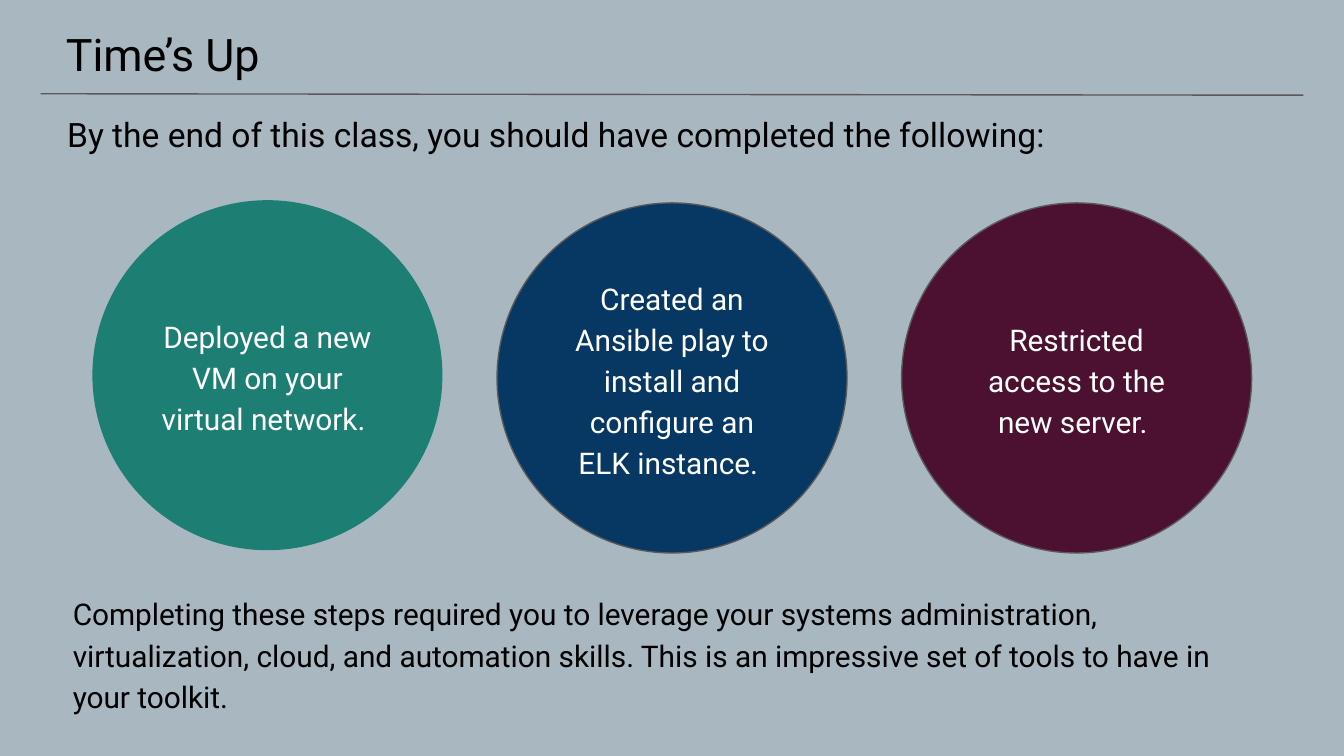
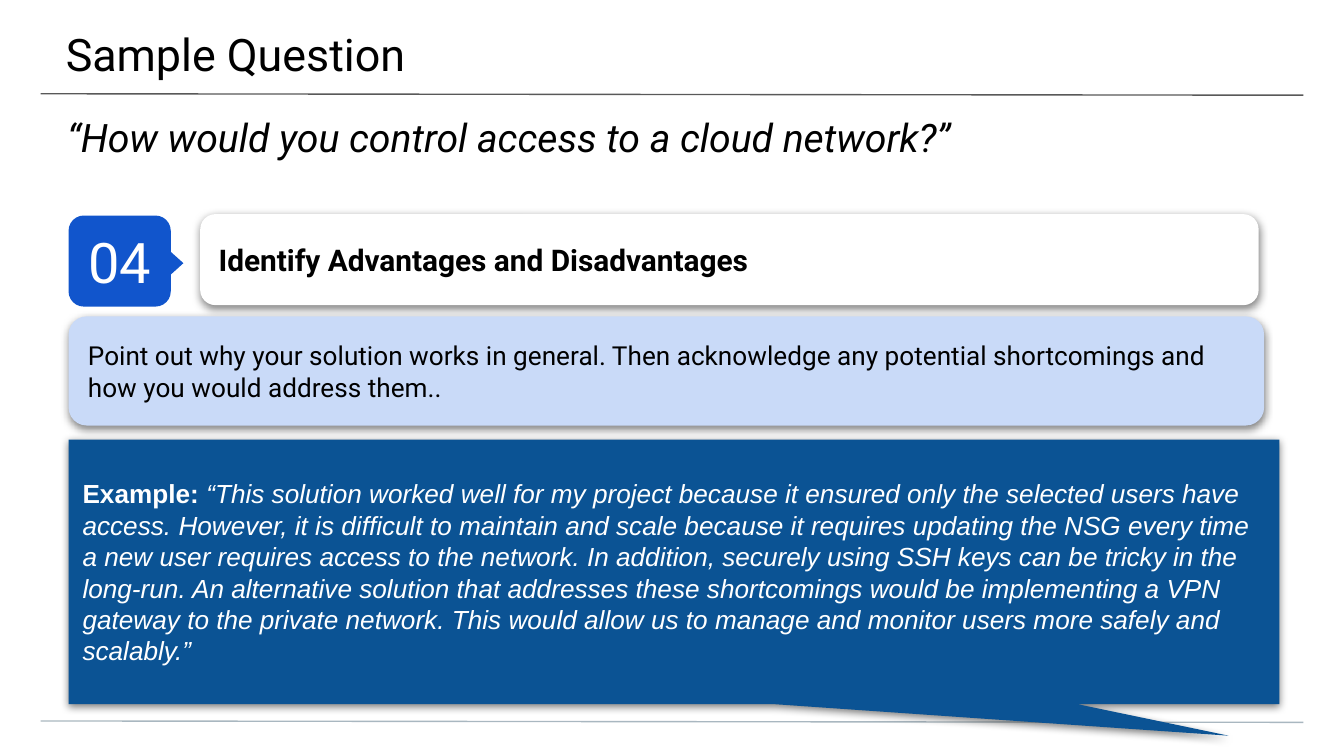
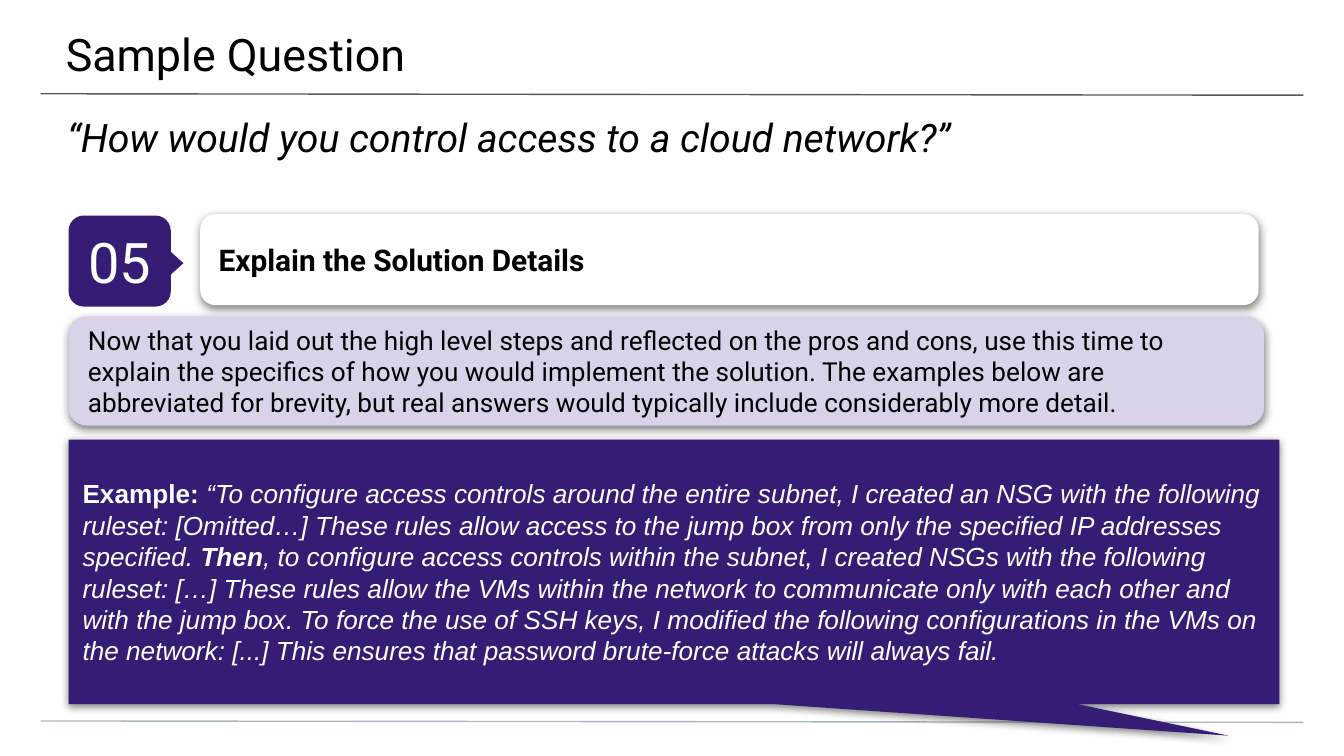
from pptx import Presentation
from pptx.dml.color import RGBColor
from pptx.enum.shapes import MSO_CONNECTOR, MSO_SHAPE
from pptx.enum.text import MSO_ANCHOR, PP_ALIGN
from pptx.oxml import parse_xml
from pptx.oxml.ns import nsdecls, qn
from pptx.util import Pt

EMU_PER_PX = 9525
WIDTH, HEIGHT = 960, 540
BLACK, WHITE, GREY, MIST = "000000", "FFFFFF", "595959", "A9B7C0"
LEFT = 49

SHADOW = (
    f'<a:outerShdw {nsdecls("a")} blurRad="57150" dist="19050" dir="5400000" '
    'algn="bl" rotWithShape="0"><a:srgbClr val="000000"><a:alpha val="50000"/>'
    '</a:srgbClr></a:outerShdw>'
)

CIRCLES = [
    ("1D7E74", None, 143, "Deployed a new VM on your virtual network. "),
    ("073763", GREY, 145,
     "Created an Ansible play to install and configure an ELK instance. "),
    ("4C1130", GREY, 145, "Restricted access to the new server. "),
]

BOLD = {"bold": True}
ITALIC = {"italic": True}

QUESTIONS = [
    {
        "number": "04", "accent": "1155CC", "tint": "C9DAF8", "callout": "0B5394",
        "heading": "Identify Advantages and Disadvantages",
        "advice": "Point out why your solution works in general. Then acknowledge any "
                  "potential shortcomings and how you would address them..",
        "example": [
            ("Example: ", BOLD),
            ("“This solution worked well for my project because it ensured only the "
             "selected users have access. However, it is difficult to maintain and scale "
             "because it requires updating the NSG every time a new user requires access "
             "to the network. In addition, securely using SSH keys can be tricky in the "
             "long-run. An alternative solution that addresses these shortcomings would "
             "be implementing a VPN gateway to the private network. This would allow us "
             "to manage and monitor users more safely and scalably.”", ITALIC),
        ],
    },
    {
        "number": "05", "accent": "351C75", "tint": "D9D2E9", "callout": "351C75",
        "heading": "Explain the Solution Details",
        "advice": "Now that you laid out the high level steps and reflected on the pros "
                  "and cons, use this time to explain the specifics of how you would "
                  "implement the solution. The examples below are abbreviated for "
                  "brevity, but real answers would typically include considerably more "
                  "detail.",
        "example": [
            ("Example: ", BOLD),
            ("“To configure access controls around the entire subnet, I created an NSG "
             "with the following ruleset: [Omitted…] These rules allow access to the jump "
             "box from only the specified IP addresses specified. ", ITALIC),
            ("Then", BOLD | ITALIC),
            (", to configure access controls within the subnet, I created NSGs with the "
             "following ruleset: […] These rules allow the VMs within the network to "
             "communicate only with each other and with the jump box. To force the use "
             "of SSH keys, I modified the following configurations in the VMs on the "
             "network: [...] This ensures that password brute-force attacks will always "
             "fail.", ITALIC),
        ],
    },
]


def px(n):
    return n * EMU_PER_PX


def rgb(value):
    return RGBColor.from_string(value)


class Deck:
    """Holds the shared style and the slide being filled."""

    font = "Roboto"

    def __init__(self):
        self.prs = Presentation()
        self.prs.slide_width, self.prs.slide_height = px(WIDTH), px(HEIGHT)
        self.s = None

    def slide(self, title, background):
        self.s = self.prs.slides.add_slide(self.prs.slide_layouts[6])
        fill = self.s.background.fill
        fill.solid()
        fill.fore_color.rgb = rgb(background)
        self.rule(67, GREY)
        self.text_box((-1, 0, 963, 56), title, 24, insets=(48, 19, 29, 10))

    def rule(self, y, color):
        """Draws the full-width rule, which drops one px to the right."""
        line = self.s.shapes.add_connector(
            MSO_CONNECTOR.STRAIGHT, px(29), px(y), px(931), px(y + 1))
        line.line.color.rgb = rgb(color)
        line.line.width = Pt(0.75)
        line._element.spPr.append(parse_xml(f'<a:effectLst {nsdecls("a")}/>'))

    def subtitle(self, text, size, height, **style):
        self.text_box((0, 71, WIDTH, height), text, size,
                      insets=(48, 10, 48, 0), **style)

    def text_box(self, box, text, size, **options):
        sp = self.s.shapes.add_textbox(*map(px, box))
        self.set_text(sp, text, size, **options)

    def shape(self, kind, box, fill, line=None, shadow=False):
        sp = self.s.shapes.add_shape(kind, *map(px, box))
        sp.fill.solid()
        sp.fill.fore_color.rgb = rgb(fill)
        if line:
            sp.line.color.rgb = rgb(line)
            sp.line.width = Pt(0.75)
        else:
            sp.line.fill.background()
        sp.shadow.inherit = False
        if shadow:
            sp._element.spPr.find(qn("a:effectLst")).append(parse_xml(SHADOW))
        return sp

    def set_text(self, sp, text, size, color=BLACK, align=PP_ALIGN.LEFT,
                 anchor=MSO_ANCHOR.TOP, insets=(10, 10, 10, 10), spacing=None, **style):
        """Fills a shape with one paragraph; text is a string or (text, style) runs."""
        tf = sp.text_frame
        tf.word_wrap = True
        tf.vertical_anchor = anchor
        for side, inset in zip(("left", "top", "right", "bottom"), insets):
            setattr(tf, f"margin_{side}", px(inset))
        p = tf.paragraphs[0]
        p.alignment = align
        p.line_spacing = spacing
        runs = [(text, {})] if isinstance(text, str) else text
        for words, own in runs:
            r = p.add_run()
            r.text = words
            r.font.color.rgb = rgb(color)
            for name, value in ({"name": self.font, "size": Pt(size)} | style | own).items():
                setattr(r.font, name, value)

    def number_tag(self, number, color):
        tag = self.shape(MSO_SHAPE.ROUNDED_RECTANGLE, (LEFT, 154, 73, 65), color)
        self.set_text(tag, number, 30, color=WHITE, align=PP_ALIGN.CENTER,
                      anchor=MSO_ANCHOR.MIDDLE)
        pointer = self.shape(MSO_SHAPE.FLOWCHART_EXTRACT, (103, 178, 36, 20), color)
        pointer.rotation = 90
        self.s.shapes.add_group_shape([tag, pointer])

    def card(self, box, fill, text, size, **style):
        sp = self.shape(MSO_SHAPE.ROUNDED_RECTANGLE, box, fill, shadow=True)
        self.set_text(sp, text, size, anchor=MSO_ANCHOR.MIDDLE, **style)

    def callout(self, fill, text):
        sp = self.shape(MSO_SHAPE.ROUNDED_RECTANGULAR_CALLOUT, (LEFT, 314, 865, 189),
                        fill, shadow=True)
        for i, value in enumerate((0.458, 0.619, 0)):
            sp.adjustments[i] = value
        self.set_text(sp, text, 14, color=WHITE, anchor=MSO_ANCHOR.MIDDLE, name="Arial")


def times_up(deck):
    deck.slide("Time’s Up", MIST)
    deck.subtitle("By the end of this class, you should have completed the following:",
                  18, 38)
    for i, (fill, line, top, text) in enumerate(CIRCLES):
        circle = deck.shape(MSO_SHAPE.OVAL, (66 + 289 * i, top, 250, 250), fill, line)
        deck.set_text(circle, text, 16, color=WHITE, align=PP_ALIGN.CENTER,
                      anchor=MSO_ANCHOR.MIDDLE, spacing=1.15)
    deck.text_box(
        (42, 412, 876, 84),
        "Completing these steps required you to leverage your systems administration, "
        "virtualization, cloud, and automation skills. This is an impressive set of "
        "tools to have in your toolkit.", 16, spacing=1.15)


def sample_question(deck, q):
    deck.slide("Sample Question", WHITE)
    deck.rule(515, MIST)
    deck.subtitle("“How would you control access to a cloud network?”", 21, 56,
                  italic=True)
    deck.number_tag(q["number"], q["accent"])
    deck.card((143, 153, 756, 65), WHITE, q["heading"], 16, bold=True)
    deck.callout(q["callout"], q["example"])
    deck.card((LEFT, 226, 854, 78), q["tint"], q["advice"], 14)


def main():
    deck = Deck()
    times_up(deck)
    for q in QUESTIONS:
        sample_question(deck, q)
    deck.prs.save("out.pptx")


if __name__ == "__main__":
    main()
